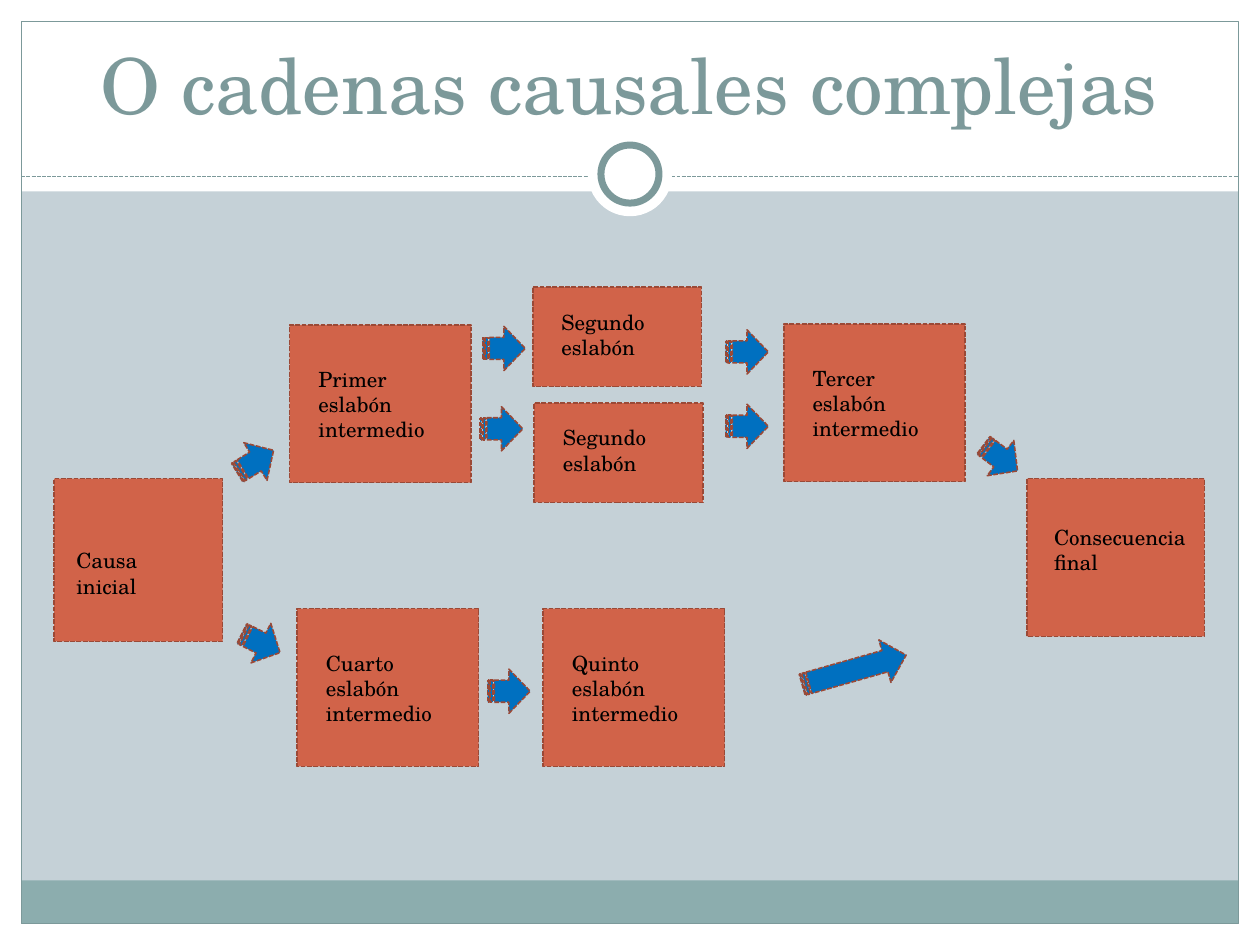
from dataclasses import dataclass

from lxml import etree
from pptx import Presentation
from pptx.dml.color import RGBColor
from pptx.enum.dml import MSO_LINE
from pptx.enum.shapes import MSO_CONNECTOR, MSO_SHAPE
from pptx.enum.text import MSO_ANCHOR, MSO_AUTO_SIZE, PP_ALIGN
from pptx.oxml.ns import qn
from pptx.util import Cm, Pt

RECT, OVAL, ARROW = MSO_SHAPE.RECTANGLE, MSO_SHAPE.OVAL, MSO_SHAPE.STRIPED_RIGHT_ARROW
DASH = MSO_LINE.SQUARE_DOT

WHITE = RGBColor(0xFF, 0xFF, 0xFF)
BLACK = RGBColor(0x00, 0x00, 0x00)
MIST = RGBColor(0xC5, 0xD1, 0xD7)
TEAL = RGBColor(0x8C, 0xAD, 0xAE)
SLATE = RGBColor(0x7C, 0x99, 0x9A)
BRICK = RGBColor(0xD1, 0x63, 0x49)
RUST = RGBColor(0x9B, 0x49, 0x36)
BLUE = RGBColor(0x00, 0x70, 0xC0)

FONT = "TeX Gyre Schola"
WIDE, HIGH, EDGE = 25.4, 19.05, 0.43
MID, RULE = WIDE / 2, 3.56


@dataclass
class Link:
    """A box of the causal chain; dx and dy place its caption."""
    text: str
    left: float
    top: float
    width: float = 3.66
    height: float = 3.18
    dx: float = 0.33
    dy: float = 0.71
    span: float = 3.0
    lines: int = 3


@dataclass
class Step:
    """An arrow between two links."""
    left: float
    top: float
    turn: float = 0
    width: float = 0.86


LINKS = [
    Link("Primer eslabón intermedio", 5.84, 6.55),
    Link("Tercer eslabón intermedio", 15.8, 6.53),
    Link("Cuarto eslabón intermedio", 5.99, 12.27),
    Link("Quinto eslabón intermedio", 10.95, 12.27),
    Link("Segundo eslabón", 10.74, 5.79, 3.4, 2, dy=0.33, lines=2),
    Link("Segundo eslabón", 10.77, 8.13, 3.4, 2, dy=0.31, lines=2),
    Link("Causa inicial", 1.09, 9.65, 3.4, 3.28, 0.2, 1.27, lines=1),
    Link("Consecuencia final", 20.7, 9.65, 3.58, 3.18, 0.3, 0.79, 3.3, 2),
]
STEPS = [
    Step(4.72, 8.86, 328.3), Step(4.83, 12.52, 26.5),
    Step(9.73, 6.58), Step(9.68, 8.2), Step(9.83, 13.49),
    Step(14.63, 6.65), Step(14.63, 8.15),
    Step(19.74, 8.79, 37), Step(16.13, 13.06, 344.1, 2.18),
]


def style(item, form: dict) -> None:
    for key, value in form.items():
        setattr(item, key, value)


def draw(slide, kind, box, fill=None, line=None, weight=0.75, dash=None):
    shape = slide.shapes.add_shape(kind, *map(Cm, box))
    shape.shadow.inherit = False
    if fill is None:
        shape.fill.background()
    else:
        shape.fill.solid()
        shape.fill.fore_color.rgb = fill
    if line is None:
        shape.line.fill.background()
    else:
        shape.line.color.rgb = line
        style(shape.line, {"width": Pt(weight), "dash_style": dash})
    return shape


def write(frame, text: str, size: float, color: RGBColor, align, form: dict) -> None:
    style(frame, {"text": text, "word_wrap": True, **form})
    para = frame.paragraphs[0]
    para.alignment = align
    font = para.runs[0].font
    style(font, {"name": FONT, "size": Pt(size)})
    font.color.rgb = color


def add_link(slide, link: Link) -> None:
    draw(slide, RECT, (link.left, link.top, link.width, link.height),
         BRICK, RUST, 0.9, DASH)
    box = (link.left + link.dx, link.top + link.dy, link.span, 0.25 + 0.52 * link.lines)
    label = slide.shapes.add_textbox(*map(Cm, box))
    write(label.text_frame, link.text, 12, BLACK, PP_ALIGN.JUSTIFY,
          {"auto_size": MSO_AUTO_SIZE.SHAPE_TO_FIT_TEXT})


def add_step(slide, step: Step) -> None:
    arrow = draw(slide, ARROW, (step.left, step.top, step.width, 0.89),
                 BLUE, RUST, 0.9, DASH)
    arrow.rotation = step.turn


def add_frame(slide) -> None:
    # White margins, footer band and outline
    for box in ((0, HIGH - EDGE, WIDE, EDGE), (0, 0, WIDE, 3.86),
                (0, 0, EDGE, HIGH), (WIDE - EDGE, 0, EDGE, HIGH)):
        draw(slide, RECT, box, WHITE)
    inner = WIDE - 2 * EDGE
    draw(slide, RECT, (EDGE, 17.75, inner, 0.87), TEAL)
    draw(slide, RECT, (EDGE, EDGE, inner, HIGH - 2 * EDGE), None, SLATE)

    # Dashed rule
    rule = slide.shapes.add_connector(
        MSO_CONNECTOR.STRAIGHT, Cm(EDGE), Cm(RULE), Cm(WIDE - EDGE), Cm(RULE))
    style(rule.line, {"width": Pt(0.75), "dash_style": DASH})
    rule.line.color.rgb = SLATE
    etree.SubElement(rule._element.spPr, qn("a:effectLst"))

    # Ring on the rule
    for size, line in ((1.7, None), (1.17, SLATE)):
        box = (MID - size / 2, 3.51 - size / 2, size, size)
        draw(slide, OVAL, box, WHITE, line, 4)


def add_title(slide, text: str) -> None:
    title = slide.shapes.title
    style(title, {"left": Cm(0.84), "top": Cm(0.64),
                  "width": Cm(23.7), "height": Cm(2.11)})
    write(title.text_frame, text, 44, SLATE, PP_ALIGN.CENTER,
          {"vertical_anchor": MSO_ANCHOR.BOTTOM, "auto_size": MSO_AUTO_SIZE.NONE})
    # Bring it in front of the white band
    slide.shapes._spTree.append(title._element)


def main() -> None:
    deck = Presentation()
    style(deck, {"slide_width": Cm(WIDE), "slide_height": Cm(HIGH)})
    slide = deck.slides.add_slide(deck.slide_layouts[5])
    slide.background.fill.solid()
    slide.background.fill.fore_color.rgb = MIST

    add_frame(slide)
    add_title(slide, "O cadenas causales complejas")
    for link in LINKS:
        add_link(slide, link)
    for step in STEPS:
        add_step(slide, step)
    deck.save("out.pptx")


if __name__ == "__main__":
    main()
